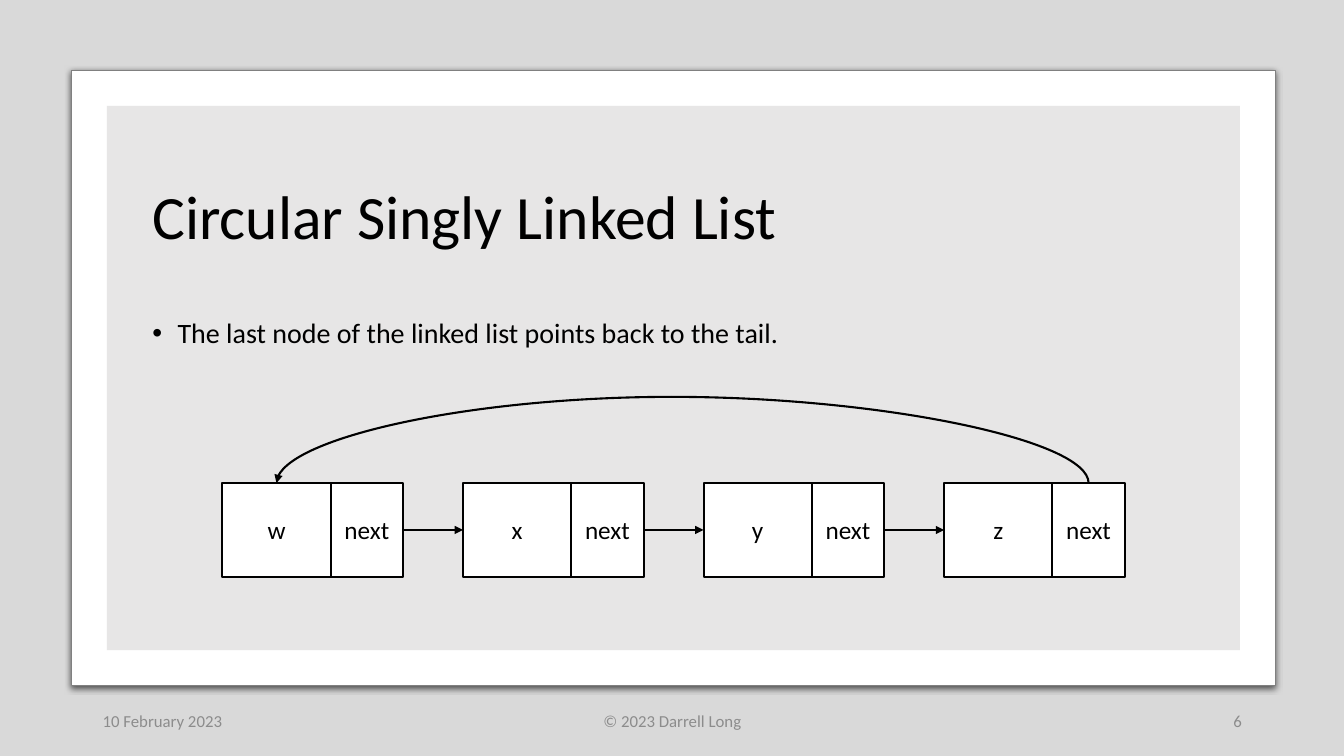
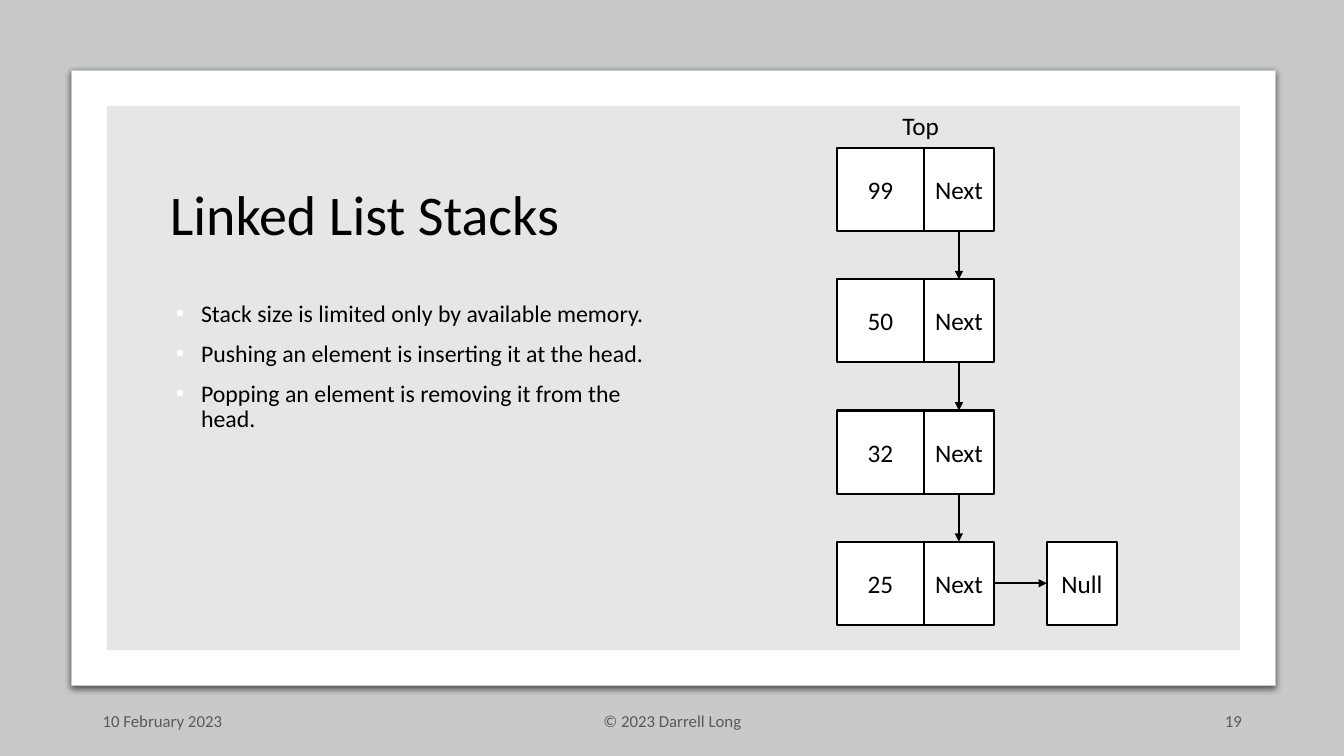
import lxml.etree
import pptx
import pptx.dml.color
import pptx.enum.shapes
import pptx.enum.text
import pptx.oxml.ns
import pptx.util

RGB = pptx.dml.color.RGBColor
BLACK = RGB(0x00, 0x00, 0x00)
WHITE = RGB(0xFF, 0xFF, 0xFF)
PANEL = RGB(0xE7, 0xE6, 0xE6)
LIGHT_GREY = RGB(0xD9, 0xD9, 0xD9)
COOL_GREY = RGB(0xC8, 0xCA, 0xCA)
MID_GREY = RGB(0x80, 0x80, 0x80)
PALE_TEXT = RGB(0x8C, 0x8C, 0x8C)
DARK_TEXT = RGB(0x59, 0x59, 0x59)

FONT = "Calibri"
ALIGN = pptx.enum.text.PP_ALIGN
MIDDLE = pptx.enum.text.MSO_ANCHOR.MIDDLE
TOP_ANCHOR = pptx.enum.text.MSO_ANCHOR.TOP
CONNECTOR = pptx.enum.shapes.MSO_CONNECTOR
TOP, LEFT, BOTTOM, RIGHT = range(4)


def add_xml(parent, tag, **attributes):
    return lxml.etree.SubElement(parent, pptx.oxml.ns.qn(tag), attributes)


class Deck:
    """Hold the deck's style and current slide; lengths are percent of the slide."""

    def __init__(self):
        self.prs = pptx.Presentation()
        self.prs.slide_width = pptx.util.Inches(13.33)
        self.prs.slide_height = pptx.util.Inches(7.5)
        self.slide = None

    def x(self, share):
        return pptx.util.Emu(round(self.prs.slide_width * share / 100))

    def y(self, share):
        return pptx.util.Emu(round(self.prs.slide_height * share / 100))

    def box(self, left, top, width, height):
        return self.x(left), self.y(top), self.x(width), self.y(height)

    def new_slide(self, number, background, card_line, footer_color):
        self.slide = self.prs.slides.add_slide(self.prs.slide_layouts[6])
        fill = self.slide.background.fill
        fill.solid()
        fill.fore_color.rgb = background
        card = self.rect((5.3, 9.3, 89.6, 81.4), WHITE, card_line, 0.75)
        self.drop_shadow(card)
        self.rect((7.95, 14, 84.3, 72), PANEL)
        for left, width, text, align in (
            (6.9, 22.5, "10 February 2023", ALIGN.LEFT),
            (33.15, 33.75, "© 2023 Darrell Long", ALIGN.CENTER),
            (70.65, 22.5, str(number), ALIGN.RIGHT),
        ):
            self.text((left, 92.7, width, 5.3), text, 12, footer_color, align)

    def rect(self, bounds, fill, line=None, line_width=1.5):
        sp = self.slide.shapes.add_shape(
            pptx.enum.shapes.MSO_SHAPE.RECTANGLE, *self.box(*bounds))
        sp.shadow.inherit = False
        sp.fill.solid()
        sp.fill.fore_color.rgb = fill
        if line is None:
            sp.line.fill.background()
        else:
            sp.line.color.rgb = line
            sp.line.width = pptx.util.Pt(line_width)
        return sp

    def drop_shadow(self, sp):
        effects = sp._element.spPr.find(pptx.oxml.ns.qn("a:effectLst"))
        shadow = add_xml(effects, "a:outerShdw", blurRad="57150", dist="19050",
                         dir="5400000", algn="ctr", rotWithShape="0")
        color = add_xml(shadow, "a:srgbClr", val=str(BLACK))
        add_xml(color, "a:alpha", val="63000")

    def run(self, p, text, size, color=BLACK, align=ALIGN.LEFT):
        p.alignment = align
        r = p.add_run()
        r.text = text
        r.font.name = FONT
        r.font.size = pptx.util.Pt(size)
        r.font.color.rgb = color

    def text(self, bounds, text, size, color=BLACK, align=ALIGN.LEFT,
             anchor=MIDDLE, wrap=True):
        tf = self.slide.shapes.add_textbox(*self.box(*bounds)).text_frame
        tf.word_wrap = wrap
        tf.vertical_anchor = anchor
        self.run(tf.paragraphs[0], text, size, color, align)
        return tf

    def title(self, bounds, text, size):
        self.text(bounds, text, size).paragraphs[0].line_spacing = 0.9

    def bullets(self, bounds, items, size, bullet_color, indent):
        tf = self.slide.shapes.add_textbox(*self.box(*bounds)).text_frame
        tf.word_wrap = True
        for i, item in enumerate(items):
            p = tf.add_paragraph() if i else tf.paragraphs[0]
            p.line_spacing = 0.9
            if i:
                p.space_before = pptx.util.Pt(10)
            pPr = p._p.get_or_add_pPr()
            pPr.set("marL", str(pptx.util.Inches(indent)))
            pPr.set("indent", str(-pptx.util.Inches(0.25)))
            add_xml(add_xml(pPr, "a:buClr"), "a:srgbClr", val=str(bullet_color))
            add_xml(pPr, "a:buFont", typeface="Arial")
            add_xml(pPr, "a:buChar", char="•")
            self.run(p, item, size)

    def cell(self, bounds, text):
        sp = self.rect(bounds, WHITE, BLACK)
        tf = sp.text_frame
        tf.word_wrap = False
        tf.vertical_anchor = MIDDLE
        self.run(tf.paragraphs[0], text, 18, align=ALIGN.CENTER)
        return sp

    def node(self, left, top, value_width, next_width, height, value, label):
        return (self.cell((left, top, value_width, height), value),
                self.cell((left + value_width, top, next_width, height), label))

    def connector(self, kind, start, end, arrow=True):
        s = self.slide.shapes.add_connector(kind, *start, *end)
        s.line.color.rgb = BLACK
        s.line.width = pptx.util.Pt(1.5)
        spPr = s._element.spPr
        if arrow:
            add_xml(spPr.get_or_add_ln(), "a:tailEnd", type="triangle")
        add_xml(spPr, "a:effectLst")
        return s

    def arrow(self, source, source_side, target, target_side):
        s = self.connector(CONNECTOR.STRAIGHT, (0, 0), (0, 0))
        s.begin_connect(source, source_side)
        s.end_connect(target, target_side)

    def arch(self, source, target, apex_left, apex_top):
        apex = self.x(apex_left), self.y(apex_top)
        for sp, arrow in ((target, True), (source, False)):
            end = sp.left + sp.width // 2, sp.top
            s = self.connector(CONNECTOR.CURVE, apex, end, arrow)
            geometry = s._element.spPr.find(pptx.oxml.ns.qn("a:prstGeom"))
            geometry.set("prst", "curvedConnector2")


def circular_list(deck):
    deck.new_slide(6, LIGHT_GREY, MID_GREY, PALE_TEXT)
    deck.title((10.6, 18.65, 79, 20.8), "Circular Singly Linked List", 44)
    deck.bullets((10.6, 41.6, 79, 39.6),
                 ["The last node of the linked list points back to the tail."],
                 20, BLACK, 0.25)
    nodes = [deck.node(16.55 + 17.9 * i, 63.9, 8.05, 5.4, 12.4, value, "next")
             for i, value in enumerate("wxyz")]
    for (_, link), (value, _) in zip(nodes, nodes[1:]):
        deck.arrow(link, RIGHT, value, LEFT)
    deck.arch(nodes[-1][1], nodes[0][0], 50, 52.5)


def stack(deck):
    deck.new_slide(19, COOL_GREY, COOL_GREY, DARK_TEXT)
    deck.title((11.9, 21.1, 38.1, 15.2), "Linked List Stacks", 40)
    deck.bullets((11.9, 39.3, 36.8, 39.3),
                 ["Stack size is limited only by available memory.",
                  "Pushing an element is inserting it at the head.",
                  "Popping an element is removing it from the head."],
                 17, WHITE, 0.31)
    deck.text((66.4, 14, 4.3, 5.3), "Top", 18, anchor=TOP_ANCHOR, wrap=False)
    tops = [19.6 + 17.35 * i for i in range(4)]
    links = [deck.node(62.25, top, 6.5, 5.2, 11, value, "Next")[1]
             for top, value in zip(tops, ("99", "50", "32", "25"))]
    for upper, lower in zip(links, links[1:]):
        deck.arrow(upper, BOTTOM, lower, TOP)
    null = deck.cell((77.9, tops[-1], 5.2, 11), "Null")
    deck.arrow(links[-1], RIGHT, null, LEFT)


def main():
    deck = Deck()
    circular_list(deck)
    stack(deck)
    deck.prs.save("out.pptx")


if __name__ == "__main__":
    main()
